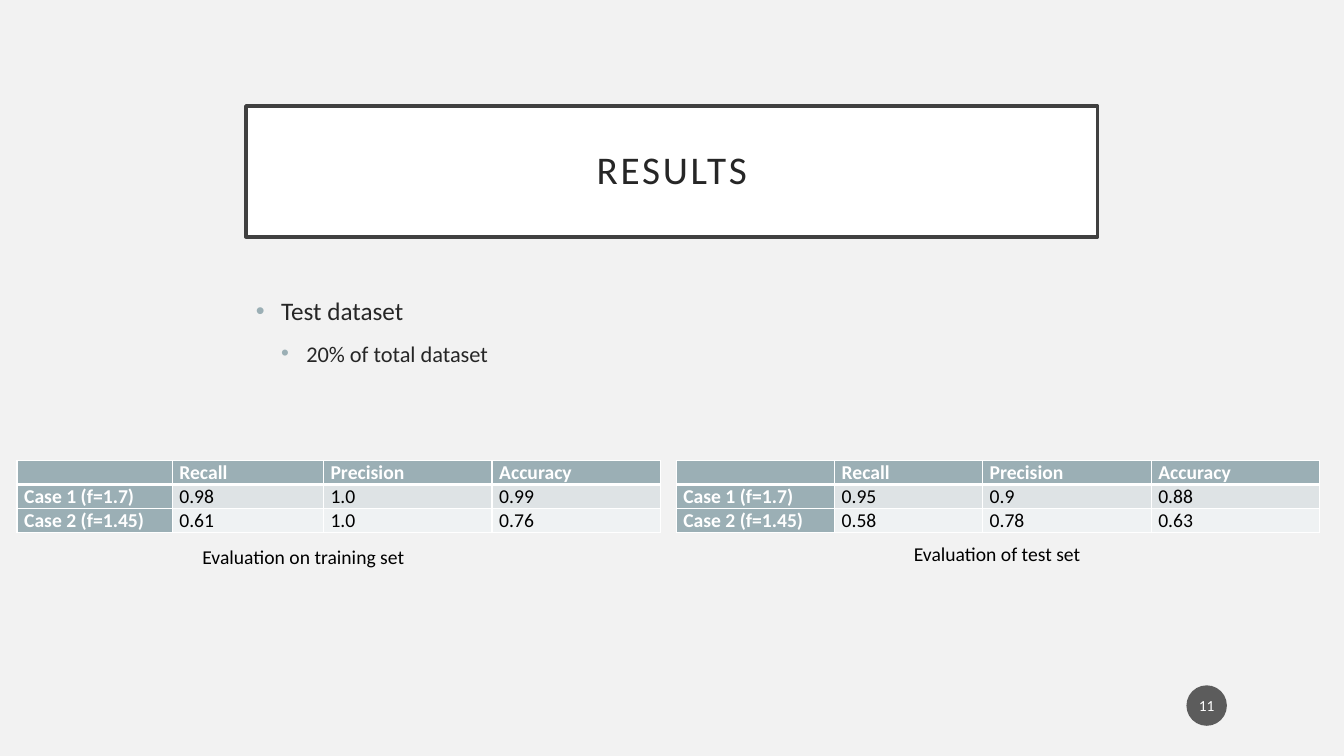
from lxml import etree
from pptx import Presentation
from pptx.dml.color import RGBColor
from pptx.enum.shapes import MSO_SHAPE
from pptx.enum.text import MSO_ANCHOR, PP_ALIGN
from pptx.oxml.ns import qn
from pptx.util import Cm, Pt

RECT, OVAL = MSO_SHAPE.RECTANGLE, MSO_SHAPE.OVAL
LEFT, CENTER = PP_ALIGN.LEFT, PP_ALIGN.CENTER
TOP, MIDDLE = MSO_ANCHOR.TOP, MSO_ANCHOR.MIDDLE

PAPER = RGBColor(0xF2, 0xF2, 0xF2)
WHITE = RGBColor(0xFF, 0xFF, 0xFF)
BLACK = RGBColor(0, 0, 0)
INK = RGBColor(0x26, 0x26, 0x26)
EDGE = RGBColor(0x40, 0x40, 0x40)
DARK = RGBColor(0x1D, 0x1D, 0x1D)
SAGE = RGBColor(0x9B, 0xAF, 0xB5)
BANDS = RGBColor(0xDE, 0xE3, 0xE5), RGBColor(0xEF, 0xF2, 0xF3)

HEADS = ["", "Recall", "Precision", "Accuracy"]
CASES = ["Case 1 (f=1.7)", "Case 2 (f=1.45)"]
TRAIN = [["0.98", "1.0", "0.99"], ["0.61", "1.0", "0.76"]]
TEST = [["0.95", "0.9", "0.88"], ["0.58", "0.78", "0.63"]]


def apply(target, values):
    for name, value in values.items():
        setattr(target, name, value)


def add_xml(parent, tag, **attrs):
    return etree.SubElement(parent, qn(tag), attrs)


class Deck:
    font = "Calibri"

    def __init__(self):
        self.file = Presentation()
        apply(self.file, {"slide_width": Cm(33.87), "slide_height": Cm(19.05)})
        self.slide = self.file.slides.add_slide(self.file.slide_layouts[6])
        fill = self.slide.background.fill
        fill.solid()
        fill.fore_color.rgb = PAPER

    def label(self, para, text, size, color, bold=False, align=LEFT):
        para.alignment = align
        run = para.add_run()
        run.text = text
        apply(run.font, {"name": self.font, "size": Pt(size), "bold": bold})
        run.font.color.rgb = color
        return run

    def shape(self, kind, box, fill):
        shape = self.slide.shapes.add_shape(kind, *map(Cm, box))
        shape.shadow.inherit = False
        shape.fill.solid()
        shape.fill.fore_color.rgb = fill
        shape.line.fill.background()
        return shape

    def title(self, text, box):
        shape = self.shape(RECT, box, WHITE)
        shape.line.color.rgb = EDGE
        shape.line.width = Pt(2.5)
        frame = shape.text_frame
        apply(frame, {"word_wrap": True, "vertical_anchor": MIDDLE})
        for side in ("left", "top", "right", "bottom"):
            setattr(frame, f"margin_{side}", Cm(0.51))
        para = frame.paragraphs[0]
        para.line_spacing = 0.9
        run = self.label(para, text, 28, INK, align=CENTER)
        run._r.get_or_add_rPr().set("spc", "200")

    def badge(self, text, box):
        shape = self.shape(OVAL, box, DARK)
        color = shape._element.spPr.find(qn("a:solidFill"))[0]
        add_xml(color, "a:alpha", val="70000")
        frame = shape.text_frame
        apply(frame, {"word_wrap": True, "vertical_anchor": MIDDLE,
                      "margin_left": Cm(0.05), "margin_right": Cm(0.05)})
        self.label(frame.paragraphs[0], text, 11, WHITE, align=CENTER)

    def text(self, box):
        frame = self.slide.shapes.add_textbox(*map(Cm, box)).text_frame
        apply(frame, {"word_wrap": True, "vertical_anchor": TOP})
        return frame

    def caption(self, text, box):
        self.label(self.text(box).paragraphs[0], text, 14, BLACK)

    def bullets(self, items, box):
        frame = self.text(box)
        for level, (text, size) in enumerate(items):
            para = frame.add_paragraph() if level else frame.paragraphs[0]
            apply(para, {"level": level, "space_before": Pt(10)})
            self.label(para, text, size, INK)
            props = para._p.get_or_add_pPr()
            props.set("marL", str(Cm(0.635 * (level + 1))))
            props.set("indent", str(-Cm(0.635)))
            color = add_xml(props, "a:buClr")
            add_xml(color, "a:srgbClr", val=str(SAGE))
            add_xml(props, "a:buFont", typeface="Arial")
            add_xml(props, "a:buChar", char="•")

    def border(self, cell, row):
        props = cell._tc.get_or_add_tcPr()
        thick = {"T": row == 1, "B": row == 0}
        for side in "LRTB":
            width = Pt(3 if thick.get(side) else 1)
            line = add_xml(props, f"a:ln{side}", w=str(width))
            fill = add_xml(line, "a:solidFill")
            add_xml(fill, "a:srgbClr", val=str(WHITE))

    def table(self, scores, left, widths):
        rows = [HEADS] + [[case] + row for case, row in zip(CASES, scores)]
        place = Cm(left), Cm(11.61), Cm(sum(widths)), Cm(1.8)
        grid = self.slide.shapes.add_table(3, 4, *place).table
        for col, width in zip(grid.columns, widths):
            col.width = Cm(width)
        for y, row in enumerate(rows):
            grid.rows[y].height = Cm(0.6)
            for x, text in enumerate(row):
                cell = grid.cell(y, x)
                apply(cell, {"margin_left": Cm(0.18), "margin_right": Cm(0.18),
                             "margin_top": 0, "margin_bottom": 0})
                self.border(cell, y)
                head = y == 0 or x == 0
                cell.fill.solid()
                cell.fill.fore_color.rgb = SAGE if head else BANDS[y - 1]
                para = cell.text_frame.paragraphs[0]
                if text:
                    self.label(para, text, 14, WHITE if head else BLACK, head)
                else:
                    add_xml(para._p, "a:endParaRPr", sz="1400")


def main():
    deck = Deck()
    deck.title("RESULTS", (6.2, 2.67, 21.46, 3.3))
    deck.bullets([("Test dataset", 18), ("20% of total dataset", 16)],
                 (6.2, 7.32, 21.46, 8.61))
    deck.badge("11", (29.9, 17.27, 1.02, 1.02))
    deck.table(TRAIN, 0.43, [3.91, 3.81, 4.25, 4.25])
    deck.caption("Evaluation on training set", (4.85, 13.61, 7.37, 0.86))
    deck.table(TEST, 17.04, [3.99, 3.73, 4.25, 4.25])
    deck.caption("Evaluation of test set", (22.78, 13.54, 4.75, 0.86))
    deck.file.save("out.pptx")


if __name__ == "__main__":
    main()
